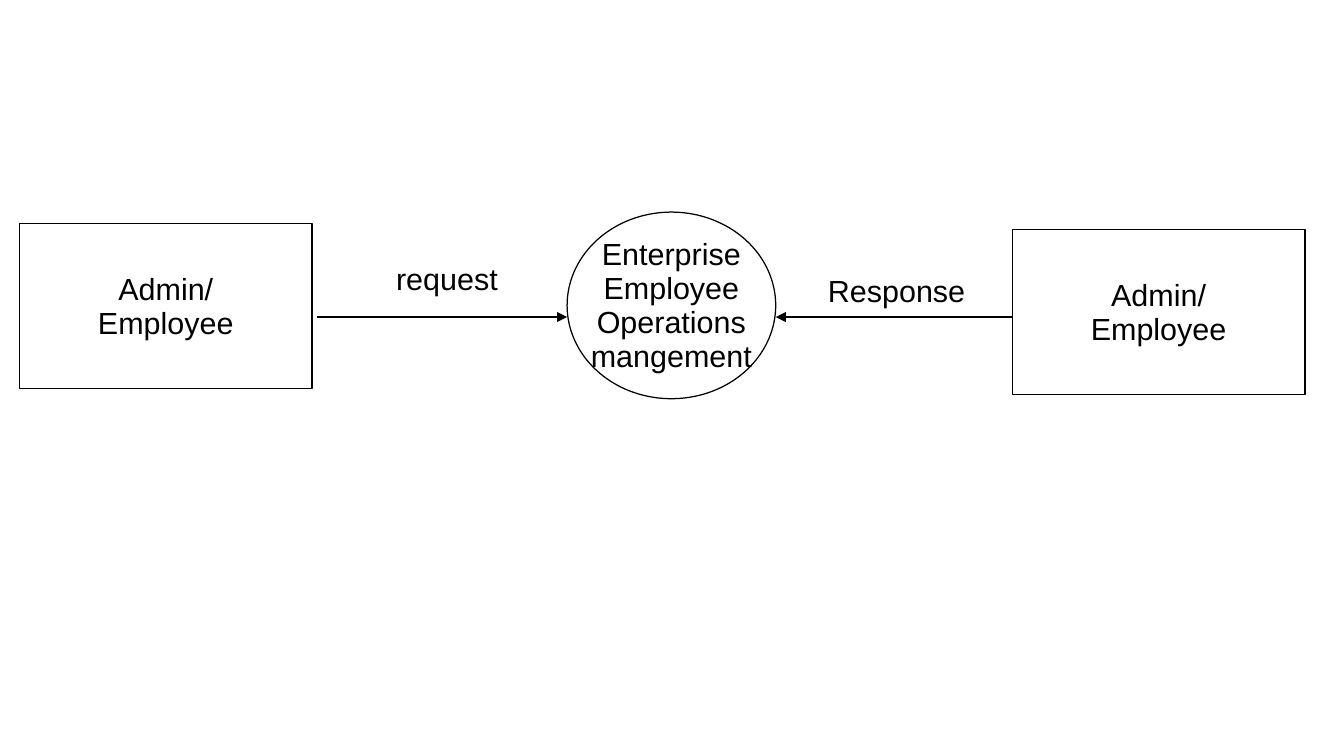
from dataclasses import dataclass

from lxml import etree
from pptx import Presentation
from pptx import util as u
from pptx.dml.color import RGBColor
from pptx.enum import shapes, text
from pptx.oxml import ns

WIDTH, HEIGHT = u.Inches(11.02), u.Inches(6.2)
COLORS = {"ink": "000000", "paper": "FFFFFF"}
LINE_WIDTH = u.Pt(0.75)

# Lengths are percentages of the slide's width (x, w) and height (y, h).
BOX_W, BOX_H = 21.78, 21.86
LABEL_H = 6.13
FLOW_Y = 41.94
LEFT_BOX, RIGHT_BOX = 1.45, 75.32
HUB_X, HUB_W = 42.2, 15.52
ARROW_GAP = 0.36


@dataclass(frozen=True)
class Node:
    kind: shapes.MSO_SHAPE
    x: float
    y: float
    w: float
    h: float
    lines: tuple[str, ...]


@dataclass(frozen=True)
class Flow:
    start: float
    end: float
    label: str
    label_x: float
    label_y: float
    label_w: float


ACTOR = ("Admin/", "Employee")
NODES = (
    Node(shapes.MSO_SHAPE.RECTANGLE, LEFT_BOX, 29.52, BOX_W, BOX_H, ACTOR),
    Node(shapes.MSO_SHAPE.RECTANGLE, RIGHT_BOX, 30.32, BOX_W, BOX_H, ACTOR),
    Node(shapes.MSO_SHAPE.OVAL, HUB_X, 28.06, HUB_W, 24.68,
         ("Enterprise", "Employee", "Operations", "mangement")),
)
FLOWS = (
    Flow(LEFT_BOX + BOX_W + ARROW_GAP, HUB_X, "request", 28.58, 33.71, 12.7),
    Flow(RIGHT_BOX, HUB_X + HUB_W, "Response", 60.71, 35.32, 14.61),
)


def color(name: str) -> RGBColor:
    return RGBColor.from_string(COLORS[name])


def across(share: float) -> int:
    return round(WIDTH * share / 100)


def down(share: float) -> int:
    return round(HEIGHT * share / 100)


def write(tf, *lines: str, size: float = 18, font: str = "Arial", ink: str = "ink",
          align=text.PP_ALIGN.LEFT, anchor=text.MSO_ANCHOR.TOP, wrap: bool = True) -> None:
    tf.word_wrap = wrap
    tf.vertical_anchor = anchor
    tf.margin_left = tf.margin_right = u.Inches(0.1)
    tf.margin_top, tf.margin_bottom = u.Inches(0.07), u.Inches(0.05)
    for i, line in enumerate(lines):
        p = tf.add_paragraph() if i else tf.paragraphs[0]
        p.alignment = align
        p.line_spacing = 0.93
        r = p.add_run()
        r.text = line
        r.font.size = u.Pt(size)
        r.font.name = font
        r.font.color.rgb = color(ink)


def outline(line) -> None:
    line.color.rgb = color("ink")
    line.width = LINE_WIDTH


def draw_node(s, node: Node) -> None:
    sp = s.shapes.add_shape(node.kind, across(node.x), down(node.y),
                            across(node.w), down(node.h))
    sp.shadow.inherit = False
    sp.fill.solid()
    sp.fill.fore_color.rgb = color("paper")
    outline(sp.line)
    write(sp.text_frame, *node.lines, align=text.PP_ALIGN.CENTER,
          anchor=text.MSO_ANCHOR.MIDDLE, wrap=False)


def draw_flow(s, flow: Flow) -> None:
    arrow = s.shapes.add_connector(shapes.MSO_CONNECTOR.STRAIGHT, across(flow.start),
                                   down(FLOW_Y), across(flow.end), down(FLOW_Y))
    outline(arrow.line)
    sp_pr = arrow.line._get_or_add_ln().getparent()
    etree.SubElement(sp_pr.find(ns.qn("a:ln")), ns.qn("a:tailEnd"), type="triangle")
    etree.SubElement(sp_pr, ns.qn("a:effectLst"))

    label = s.shapes.add_textbox(across(flow.label_x), down(flow.label_y),
                                 across(flow.label_w), down(LABEL_H))
    write(label.text_frame, flow.label)


def main() -> None:
    prs = Presentation()
    prs.slide_width, prs.slide_height = WIDTH, HEIGHT
    s = prs.slides.add_slide(prs.slide_layouts[6])
    for node in NODES:
        draw_node(s, node)
    for flow in FLOWS:
        draw_flow(s, flow)
    prs.save("out.pptx")


if __name__ == "__main__":
    main()
